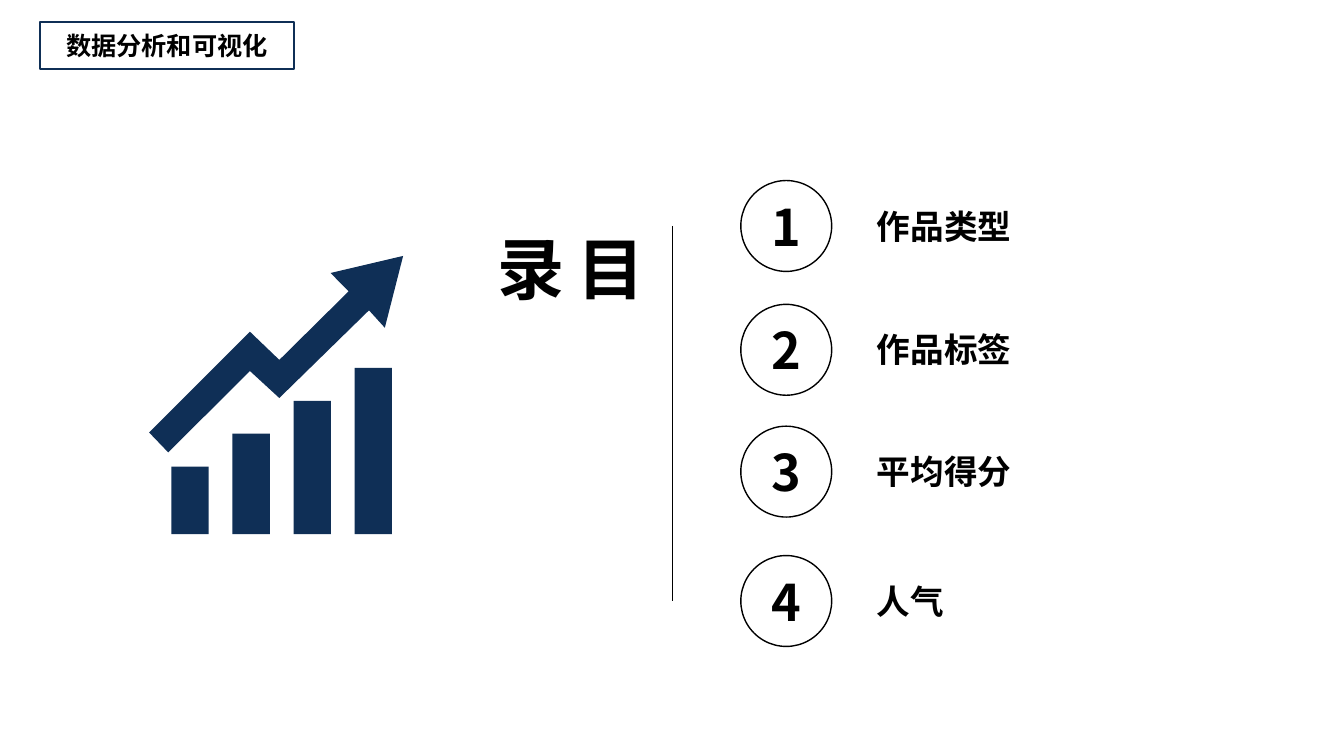
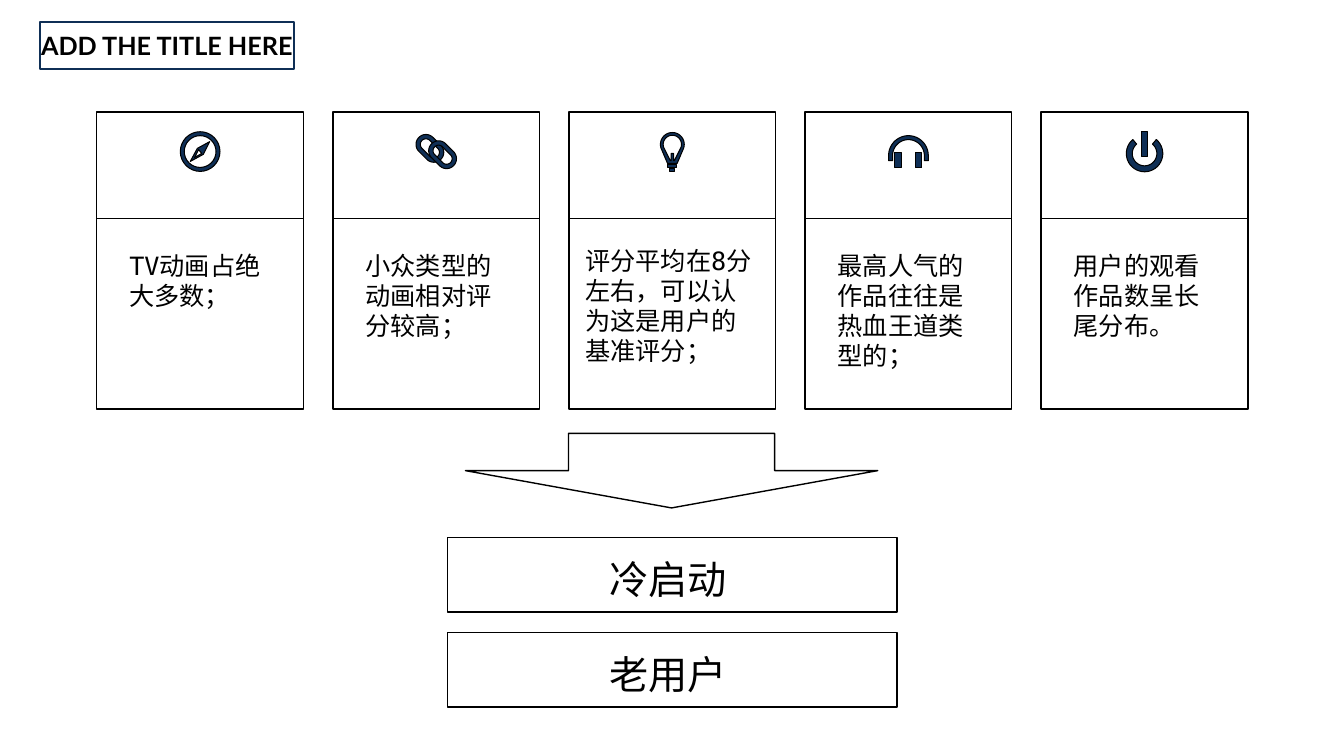
import math
import pptx
import pptx.util
import pptx.dml.color
import pptx.enum.shapes
import pptx.enum.text
import pptx.oxml
import pptx.oxml.ns

Cm = pptx.util.Cm
Pt = pptx.util.Pt
RGBColor = pptx.dml.color.RGBColor
KIND = pptx.enum.shapes.MSO_SHAPE
ALIGN = pptx.enum.text.PP_ALIGN
ANCHOR = pptx.enum.text.MSO_ANCHOR

NAVY = RGBColor(0x0F, 0x2F, 0x56)
BLACK = RGBColor(0, 0, 0)
HEAVY = "Noto Sans CJK SC"
LATIN = "Lato"
PLAIN = "DejaVu Sans Mono"


# Styling and text
def paint(shape, fill=None, line=None, width=1):
    shape.shadow.inherit = False
    if fill is None:
        shape.fill.background()
    else:
        shape.fill.solid()
        shape.fill.fore_color.rgb = fill
    if line is None:
        shape.line.fill.background()
    else:
        shape.line.color.rgb = line
        shape.line.width = Pt(width)


def write(shape, text, size, font, bold=False, align=ALIGN.LEFT):
    para = shape.text_frame.paragraphs[0]
    para.alignment = align
    run = para.add_run()
    run.text = text
    run.font.size = Pt(size)
    run.font.bold = bold
    run.font.name = font
    run.font.color.rgb = BLACK
    east = pptx.oxml.parse_xml(
        f'<a:ea {pptx.oxml.ns.nsdecls("a")} typeface="{font}"/>')
    run.font._element.find(pptx.oxml.ns.qn("a:latin")).addnext(east)


def label(slide, x, y, w, h, text, size, font, bold=False,
          align=ALIGN.LEFT, inset=True):
    box = slide.shapes.add_textbox(Cm(x), Cm(y), Cm(w), Cm(h))
    frame = box.text_frame
    frame.word_wrap = True
    frame.auto_size = pptx.enum.text.MSO_AUTO_SIZE.SHAPE_TO_FIT_TEXT
    if not inset:
        frame.margin_left = frame.margin_right = 0
        frame.margin_top = frame.margin_bottom = 0
    write(box, text, size, font, bold, align)
    return box


# Shapes and outlines
def block(slide, kind, x, y, w, h, fill=None, line=None, width=1):
    shape = slide.shapes.add_shape(kind, Cm(x), Cm(y), Cm(w), Cm(h))
    paint(shape, fill, line, width)
    return shape


def trace(slide, x, y, rings, line=None):
    """Draw closed rings, in cm around (x, y), as one navy shape."""
    rings = [[(Cm(x + a), Cm(y + b)) for a, b in ring] for ring in rings]
    form = slide.shapes.build_freeform(*rings[0][0])
    for i, ring in enumerate(rings):
        if i:
            form.move_to(*ring[0])
        form.add_line_segments(ring[1:], close=True)
    paint(form.convert_to_shape(), NAVY, line, 0.75)


def arc(x, y, r, start, end, steps=32):
    turns = [math.radians(start + (end - start) * i / steps)
             for i in range(steps + 1)]
    return [(x + r * math.cos(t), y + r * math.sin(t)) for t in turns]


def oblong(x1, y1, x2, y2):
    return [(x1, y1), (x2, y1), (x2, y2), (x1, y2)]


# Icons: each is a list of shapes, each shape a list of rings
def compass():
    return [[arc(0, 0, 0.5, 0, 360), arc(0, 0, 0.4, 0, 360),
             [(0.24, -0.25), (0.08, 0.07), (-0.25, 0.25), (-0.07, -0.08)],
             [(-0.04, -0.05), (-0.14, 0.15), (0.04, 0.05)]]]


def chain():
    def loop(x, y, r):
        return (arc(x + 0.1, y + 0.1, r, -45, 135)
                + arc(x - 0.1, y - 0.1, r, 135, 315))
    return [[loop(x, y, r) for r in (0.25, 0.14)]
            for x, y in ((-0.16, -0.08), (0.16, 0.08))]


def bulb():
    glass = arc(0, -0.18, 0.3, 160, 380) + [(0.12, 0.3), (-0.12, 0.3)]
    hollow = arc(0, -0.18, 0.23, 160, 380) + [
        (0.05, 0.23), (0.03, 0.23), (0.03, 0.05),
        (-0.03, 0.05), (-0.03, 0.23), (-0.05, 0.23)]
    return [[glass, hollow, oblong(-0.11, 0.33, 0.11, 0.4),
             oblong(-0.06, 0.43, 0.06, 0.5)]]


def phones():
    band = (arc(0, 0.1, 0.5, 180, 360) + [(0.5, 0.23), (0.4, 0.23)]
            + arc(0, 0.1, 0.4, 360, 180) + [(-0.4, 0.23), (-0.5, 0.23)])
    return [[band, oblong(-0.34, 0.03, -0.18, 0.41),
             oblong(0.18, 0.03, 0.34, 0.41)]]


def power():
    ring = arc(0, 0.05, 0.46, -50, 230) + arc(0, 0.05, 0.31, 230, -50)
    return [[ring, oblong(-0.08, -0.5, 0.08, 0.13)]]


# Shared slide start
def begin(deck, title, font):
    slide = deck.slides.add_slide(deck.slide_layouts[6])
    block(slide, KIND.RECTANGLE, 1.02, 0.56, 6.4, 1.17, line=NAVY, width=1.5)
    label(slide, 0, 0.64, 8.41, 1.02, title, 18, font, True, ALIGN.CENTER)
    return slide


# Contents slide
def growth(slide):
    trace(slide, 0, 0, [[
        (9.7, 8.26), (10.16, 6.45), (8.33, 6.88), (8.79, 7.34),
        (7.04, 9.07), (6.3, 8.36), (3.76, 10.9), (4.24, 11.4),
        (6.3, 9.35), (7.04, 10.03), (9.3, 7.82)]])
    for i in range(4):
        tall = 1.7 + 0.83 * i
        block(slide, KIND.RECTANGLE, 4.32 + 1.54 * i, 13.46 - tall,
              0.94, tall, fill=NAVY)


def topic(slide, num, y, text):
    disc = block(slide, KIND.OVAL, 18.67, y, 2.29, 2.29, line=BLACK)
    disc.text_frame.vertical_anchor = ANCHOR.MIDDLE
    write(disc, str(num), 36, HEAVY, True, ALIGN.CENTER)
    label(slide, 22.1, y + 0.63, 3.89, 1.02, text, 24, HEAVY, True,
          inset=False)


def rule(slide, x, top, end):
    line = slide.shapes.add_connector(
        pptx.enum.shapes.MSO_CONNECTOR.STRAIGHT,
        Cm(x), Cm(top), Cm(x), Cm(end))
    line.line.color.rgb = BLACK
    line.line.width = Pt(0.5)
    line._element.spPr.append(pptx.oxml.parse_xml(
        f'<a:effectLst {pptx.oxml.ns.nsdecls("a")}/>'))


def agenda(deck):
    slide = begin(deck, "数据分析和可视化", HEAVY)
    growth(slide)
    topics = [(4.55, "作品类型"), (7.67, "作品标签"),
              (10.74, "平均得分"), (14, "人气")]
    for num, (y, text) in enumerate(topics, 1):
        topic(slide, num, y, text)
    rule(slide, 16.94, 5.69, 15.14)
    head = label(slide, 13.92, 5.69, 2.57, 3.66, "目录", 48, HEAVY, True)
    head.text_frame._txBody.bodyPr.set("vert", "eaVert")


# Findings slide
def card(slide, x, icon, text, inset, top):
    wide = 5.21
    block(slide, KIND.RECTANGLE, x, 2.82, wide, 2.69, line=BLACK)
    block(slide, KIND.RECTANGLE, x, 5.51, wide, 4.8, line=BLACK)
    for rings in icon():
        trace(slide, x + wide / 2, 3.82, rings, BLACK)
    label(slide, x + inset, top, wide - 2 * inset, 2.3, text, 18, PLAIN,
          inset=False)


def findings(deck):
    slide = begin(deck, "ADD THE TITLE HERE", LATIN)
    cards = [
        (compass, "TV动画占绝大多数；", 0.82, 6.3),
        (chain, "小众类型的动画相对评分较高；", 0.82, 6.3),
        (bulb, "评分平均在8分左右，可以认为这是用户的基准评分；", 0.41, 6.17),
        (phones, "最高人气的作品往往是热血王道类型的；", 0.82, 6.3),
        (power, "用户的观看作品数呈长尾分布。", 0.82, 6.3)]
    for i, item in enumerate(cards):
        card(slide, 2.44 + 5.95 * i, *item)
    block(slide, KIND.DOWN_ARROW, 11.73, 10.92, 10.39, 1.88, line=BLACK)
    for i, text in enumerate(["冷启动", "老用户"]):
        y = 13.54 + 2.4 * i
        block(slide, KIND.RECTANGLE, 11.28, y, 11.33, 1.88, line=BLACK)
        label(slide, 15.1, y + 0.32, 3.84, 1.45, text, 28, PLAIN)


def main():
    deck = pptx.Presentation()
    deck.slide_width = Cm(33.87)
    deck.slide_height = Cm(19.05)
    agenda(deck)
    findings(deck)
    deck.save("out.pptx")


if __name__ == "__main__":
    main()
